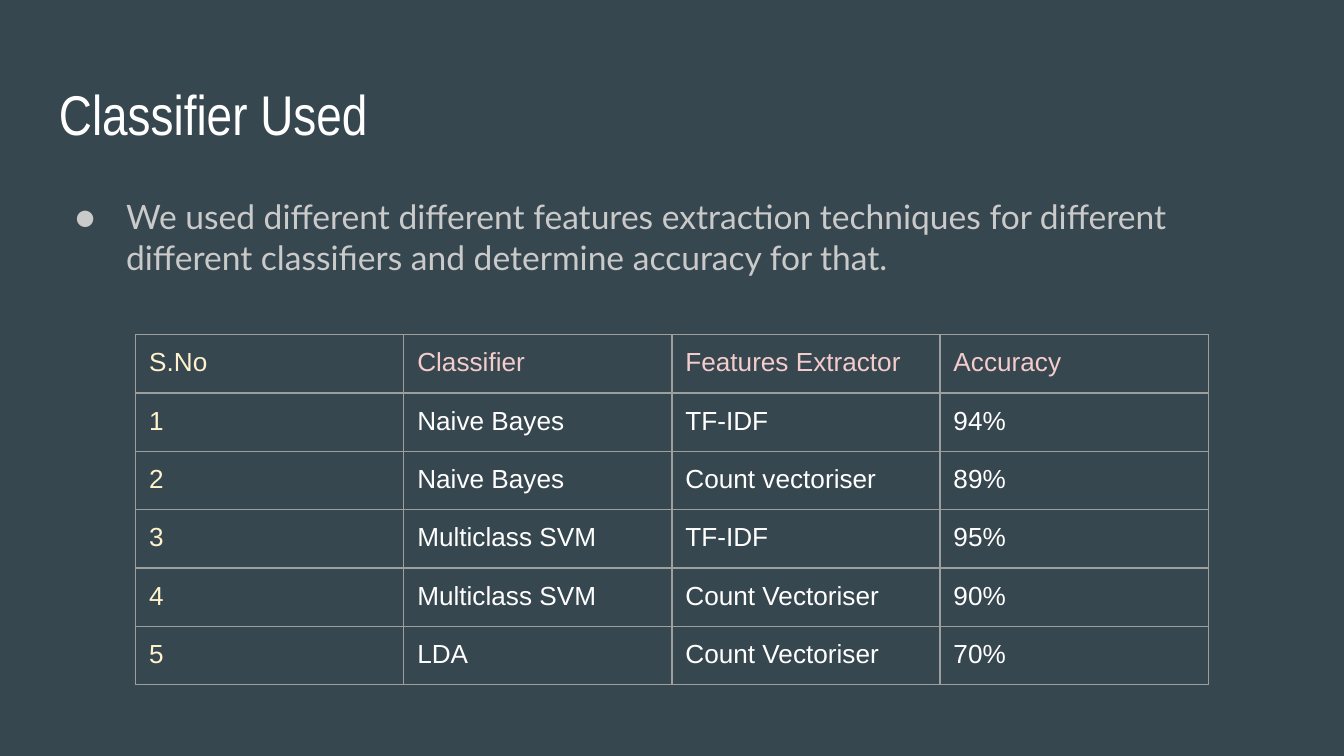
from pptx import Presentation
from pptx.dml.color import RGBColor
from pptx.oxml import parse_xml
from pptx.oxml.ns import nsdecls
from pptx.util import Inches, Pt

BACKGROUND = RGBColor(0x37, 0x47, 0x4F)
WHITE = RGBColor(0xFF, 0xFF, 0xFF)
GREY = RGBColor(0xCA, 0xCA, 0xCA)
CREAM = RGBColor(0xFF, 0xF2, 0xCC)
PINK = RGBColor(0xF4, 0xCC, 0xCC)
BORDER = RGBColor(0x9E, 0x9E, 0x9E)

SLIDE_WIDTH = Inches(10)
MARGIN = Inches(0.1)
TABLE_WIDTH = Inches(7.98)
ROW_HEIGHT = Inches(0.43)

RESULTS = [
    ("S.No", "Classifier", "Features Extractor", "Accuracy"),
    ("1", "Naive Bayes", "TF-IDF", "94%"),
    ("2", "Naive Bayes", "Count vectoriser", "89%"),
    ("3", "Multiclass SVM", "TF-IDF", "95%"),
    ("4", "Multiclass SVM", "Count Vectoriser", "90%"),
    ("5", "LDA", "Count Vectoriser", "70%"),
]


def set_font(paragraph, name, size, color):
    paragraph.font.name = name
    paragraph.font.size = Pt(size)
    paragraph.font.color.rgb = color


def set_margins(item):
    item.margin_left = item.margin_right = MARGIN
    item.margin_top = item.margin_bottom = MARGIN


def add_text(slide, text, top, height, name, size, color):
    shape = slide.shapes.add_textbox(Inches(0.34), top, Inches(9.32), height)
    frame = shape.text_frame
    frame.word_wrap = True
    set_margins(frame)
    paragraph = frame.paragraphs[0]
    paragraph.text = text
    set_font(paragraph, name, size, color)
    return paragraph


def add_bullet(paragraph, color):
    properties = paragraph._p.get_or_add_pPr()
    properties.set("marL", str(Inches(0.5)))
    properties.set("indent", str(Inches(-0.38)))
    namespace = nsdecls("a")
    for markup in (
        f'<a:buClr {namespace}><a:srgbClr val="{color}"/></a:buClr>',
        f'<a:buFont {namespace} typeface="Lato"/>',
        f'<a:buChar {namespace} char="●"/>',
    ):
        element = parse_xml(markup)
        properties.insert_element_before(element, "a:defRPr")


def set_borders(cell):
    properties = cell._tc.get_or_add_tcPr()
    for position, side in enumerate(("lnL", "lnR", "lnT", "lnB")):
        properties.insert(position, parse_xml(
            f'<a:{side} {nsdecls("a")} w="{Pt(0.75)}"><a:solidFill>'
            f'<a:srgbClr val="{BORDER}"/></a:solidFill></a:{side}>'))


def cell_color(row, column):
    if column == 0:
        return CREAM
    return PINK if row == 0 else WHITE


def add_results_table(slide):
    rows, columns = len(RESULTS), len(RESULTS[0])
    table = slide.shapes.add_table(
        rows, columns, Inches(1.01), Inches(2.49),
        TABLE_WIDTH, ROW_HEIGHT * rows).table
    table.horz_banding = False
    table.first_row = False
    for column in table.columns:
        column.width = TABLE_WIDTH // columns
    for row, values in enumerate(RESULTS):
        table.rows[row].height = ROW_HEIGHT
        for column, value in enumerate(values):
            cell = table.cell(row, column)
            cell.text = value
            set_margins(cell)
            cell.fill.background()
            set_borders(cell)
            set_font(cell.text_frame.paragraphs[0], "Arial", 14,
                     cell_color(row, column))


def main():
    presentation = Presentation()
    presentation.slide_width = SLIDE_WIDTH
    presentation.slide_height = SLIDE_WIDTH * 9 // 16
    slide = presentation.slides.add_slide(presentation.slide_layouts[6])
    slide.background.fill.solid()
    slide.background.fill.fore_color.rgb = BACKGROUND

    add_text(slide, "Classifier Used", Inches(0.49), Inches(0.63),
             "Arial Narrow", 30, WHITE)
    body = add_text(
        slide,
        "We used different different features extraction techniques for "
        "different different classifiers and determine accuracy for that.",
        Inches(1.36), Inches(3.74), "Lato", 18, GREY)
    add_bullet(body, GREY)
    add_results_table(slide)
    presentation.save("out.pptx")


main()
